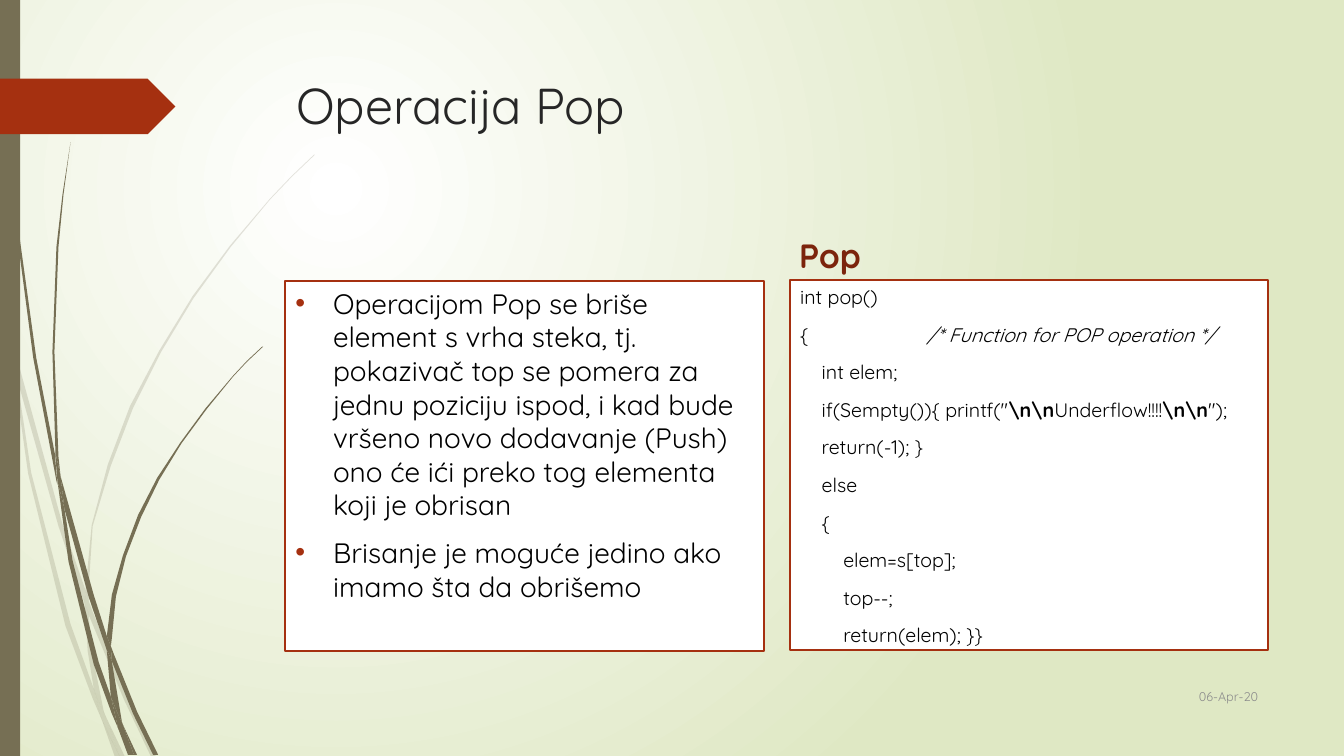
from lxml import etree
from pptx import Presentation
from pptx.dml.color import RGBColor
from pptx.enum.shapes import MSO_SHAPE
from pptx.enum.text import MSO_ANCHOR, MSO_AUTO_SIZE, PP_ALIGN
from pptx.oxml.ns import qn
from pptx.util import Pt

RECT, ARROW = MSO_SHAPE.RECTANGLE, MSO_SHAPE.PENTAGON
TOP, MIDDLE, BOTTOM = MSO_ANCHOR.TOP, MSO_ANCHOR.MIDDLE, MSO_ANCHOR.BOTTOM
LEFT, RIGHT = PP_ALIGN.LEFT, PP_ALIGN.RIGHT
NO_FIT = MSO_AUTO_SIZE.NONE
OLIVE, RUST = "766F54", "A53010"
UNIT = Pt(0.72)  # grid step of the grass outlines


def rgb(color):
    return RGBColor.from_string(color)


def write(p, text, size=14, color="000000", bold=False, italic=False,
          align=LEFT, before=0, indent=0):
    """Add a run to paragraph p and format both."""
    p.alignment = align
    p.space_before = Pt(before)
    if indent:
        p._p.get_or_add_pPr().set("marL", str(Pt(indent)))
    r = p.add_run()
    r.text = text
    r.font.name, r.font.size = "Quicksand", Pt(size)
    r.font.bold, r.font.italic = bold, italic
    r.font.color.rgb = rgb(color)


prs = Presentation()
prs.slide_width, prs.slide_height = Pt(960), Pt(540)
s = prs.slides.add_slide(prs.slide_layouts[5])

# Background: radial gradient centred in the upper left
fill = s.background.fill
fill.gradient()
for stop, color in zip(fill.gradient_stops, ("FFFFFF", "DFE8C4")):
    stop.color.rgb = rgb(color)
for stop, position in zip(fill.gradient_stops, (0, 1)):
    stop.position = position
lin = s._element.find(".//" + qn("a:lin"))
radial = etree.Element(qn("a:path"), {"path": "circle"})
etree.SubElement(radial, qn("a:fillToRect"),
                 {"l": "50000", "t": "50000", "r": "100000", "b": "100000"})
lin.getparent().replace(lin, radial)

# Grass blades: outline points on the UNIT grid
pale_grass = [
    "11,350 9,322 0,282 0,299 10,344",
    "58,522 84,599 85,586 62,520 14,345 17,376",
    "92,607 88,596 88,610 123,694 150,751 155,751 127,692",
    "119,751 124,751 105,711",
    "93,683 70,619 31,469 17,376 11,350 28,470 65,621 92,693 101,714 99,707",
    "84,599 87,646 93,683 96,692 105,711 103,706 91,646 88,610 88,608",
    "88,584 92,522 110,462 132,405 160,349 192,296 229,245 268,198 290,175 312,154 "
    "312,153 289,175 268,197 228,244 191,294 158,348 129,403 107,461 91,521 85,584 "
    "85,586 88,596",
    "101,714 114,751 119,751",
    "88,608 88,610 88,596 85,586 84,599",
    "96,692 93,683 99,707 101,714 119,751 105,711",
]
dark_grass = [
    "7,110 17,233 33,355 56,477 57,481 55,457 55,453 36,355 19,232 8,109 5,48 4,0 "
    "3,0 4,48",
    "88,592 106,645 106,633 106,631 93,590 60,472 64,505",
    "113,649 110,641 111,656 132,708 152,749 157,749 136,706",
    "110,691 98,657 72,556 64,505 57,477 68,557 93,659 111,708 117,722 116,717",
    "60,472 58,453 54,349 58,245 63,193 70,141 62,193 56,245 52,349 55,449",
    "133,749 136,749 122,719",
    "57,477 64,505 60,472 55,449 55,453",
    "111,633 115,592 125,552 140,513 158,476 180,440 205,406 231,374 245,359 261,344 "
    "260,344 245,358 231,373 204,405 179,439 156,474 137,511 122,551 111,590 106,631 "
    "110,641",
    "117,722 127,749 131,749",
    "106,645 110,691 116,706 122,719 121,716 111,656 109,651",
    "106,645 109,651 111,656 110,641 106,631",
    "116,706 110,691 116,717 117,722 130,749 133,749 122,719",
]
for blades, opacity in ((pale_grass, 20), (dark_grass, 100)):
    for outline in blades:
        points = [tuple(map(int, xy.split(","))) for xy in outline.split()]
        builder = s.shapes.build_freeform(*points[0], scale=UNIT)
        builder.add_line_segments(points[1:], close=True)
        sp = builder.convert_to_shape()
        sp.shadow.inherit = False
        sp.line.fill.background()
        sp.fill.solid()
        sp.fill.fore_color.rgb = rgb(OLIVE)
        if opacity < 100:
            clr = sp._element.spPr.find(".//" + qn("a:srgbClr"))
            etree.SubElement(clr, qn("a:alpha"), val=str(opacity * 1000))

# Side bar, arrow tab and the two framed panels
panels = []
for kind, box, color, outline in (
        (RECT, (0, 0, 14.4, 540), OLIVE, None),
        (ARROW, (0, 56.2, 125.3, 39.6), RUST, None),
        (RECT, (203.8, 200.9, 342, 264.2), "FFFFFF", RUST),
        (RECT, (564.5, 200.2, 341.3, 264.2), "FFFFFF", RUST)):
    sp = s.shapes.add_shape(kind, *map(Pt, box))
    sp.shadow.inherit = False
    sp.fill.solid()
    sp.fill.fore_color.rgb = rgb(color)
    if outline:
        sp.line.color.rgb = rgb(outline)
        sp.line.width = Pt(1.25)
        panels.append(sp)
    else:
        sp.line.fill.background()
notes_panel, code_panel = panels

# Title, code heading and date
title = s.shapes.title
title.left, title.top, title.width, title.height = map(Pt, (204.5, 49, 702, 100.8))
heading = s.shapes.add_textbox(*map(Pt, (563.8, 154.8, 342, 45.4)))
date = s.shapes.add_textbox(*map(Pt, (815.8, 482.4, 90, 29.5)))
for sp, anchor in ((title, TOP), (heading, BOTTOM), (date, MIDDLE),
                   (notes_panel, TOP), (code_panel, TOP)):
    tf = sp.text_frame
    tf.word_wrap, tf.auto_size, tf.vertical_anchor = True, NO_FIT, anchor
write(title.text_frame.paragraphs[0], "Operacija Pop", size=36, color="262626")
write(heading.text_frame.paragraphs[0], "Pop", size=24, color="7C240C",
      bold=True, before=10)
write(date.text_frame.paragraphs[0], "06-Apr-20", size=9, color="8C8C8C", align=RIGHT)

# Bulleted explanation
notes = [
    "Operacijom Pop se briše element s vrha steka, tj. pokazivač top se pomera za "
    "jednu poziciju ispod, i kad bude vršeno novo dodavanje (Push) ono će ići preko "
    "tog elementa koji je obrisan",
    "Brisanje je moguće jedino ako imamo šta da obrišemo",
]
tf = notes_panel.text_frame
for i, note in enumerate(notes):
    p = tf.add_paragraph() if i else tf.paragraphs[0]
    write(p, note, size=20, before=10, indent=27)
    pPr = p._p.get_or_add_pPr()
    pPr.set("indent", str(-Pt(27)))
    bullet_color = etree.SubElement(pPr, qn("a:buClr"))
    etree.SubElement(bullet_color, qn("a:srgbClr"), val=RUST)
    etree.SubElement(pPr, qn("a:buFont"), typeface="Arial")
    etree.SubElement(pPr, qn("a:buChar"), char="•")

# Code listing: indent level, then runs of text with their style
code = [
    (0, [("int pop()", "")]),
    (0, [("{\t", ""), ("/* Function for POP operation */", "italic")]),
    (1, [("int elem;", "")]),
    (1, [('if(Sempty()){ printf("', ""), (r"\n\n", "bold"), ("Underflow!!!!", ""),
         (r"\n\n", "bold"), ('");', "")]),
    (1, [("return(-1); }", "")]),
    (1, [("else", "")]),
    (1, [("{", "")]),
    (2, [("elem=s[top];", "")]),
    (2, [("top--;", "")]),
    (2, [("return(elem); }}", "")]),
]
tf = code_panel.text_frame
for i, (level, runs) in enumerate(code):
    p = tf.add_paragraph() if i else tf.paragraphs[0]
    for text, style in runs:
        write(p, text, before=10, indent=15.4 * level,
              bold=style == "bold", italic=style == "italic")
    if "\t" in runs[0][0]:
        tabs = etree.SubElement(p._p.get_or_add_pPr(), qn("a:tabLst"))
        etree.SubElement(tabs, qn("a:tab"), pos=str(Pt(90.5)), algn="l")

prs.save("out.pptx")
